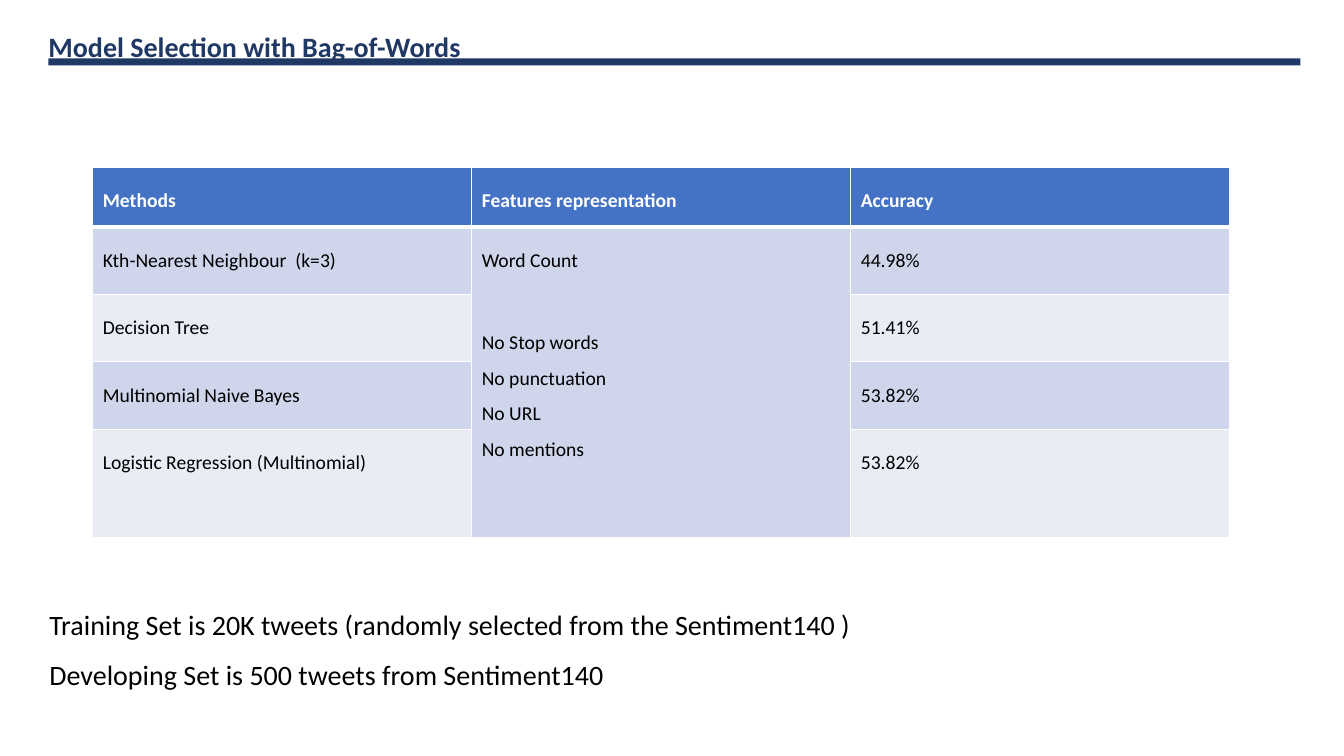
from lxml.etree import SubElement
from pptx import Presentation
from pptx.dml.color import RGBColor
from pptx.enum.shapes import MSO_SHAPE as Shape
from pptx.enum.text import MSO_ANCHOR as Anchor, PP_ALIGN as Align
from pptx.oxml.ns import qn
from pptx.util import Inches, Pt

COLORS = {
    "navy": "203864",
    "header": "4472C4",
    "band": "CFD5EA",
    "pale": "E9EBF5",
    "white": "FFFFFF",
    "black": "000000",
}
HEADERS = ["Methods", "Features representation", "Accuracy"]
RESULTS = [
    ("Kth-Nearest Neighbour  (k=3)", "44.98%"),
    ("Decision Tree", "51.41%"),
    ("Multinomial Naive Bayes", "53.82%"),
    ("Logistic Regression (Multinomial)", "53.82%"),
]
FEATURES = ["Word Count", "No Stop words", "No punctuation", "No URL", "No mentions"]
DATA_SETS = [
    "Training Set is 20K tweets (randomly selected from the Sentiment140 )",
    "Developing Set is 500 tweets from Sentiment140",
]
ROW_HEIGHTS = [7.87, 8.93, 8.93, 8.93, 14.27]


class Deck:
    font = "Calibri"

    def __init__(self):
        self.prs = Presentation()
        self.prs.slide_width = Inches(13.33)
        self.prs.slide_height = Inches(7.5)
        self.s = self.prs.slides.add_slide(self.prs.slide_layouts[5])

    def x(self, percent):
        return round(self.prs.slide_width * percent / 100)

    def y(self, percent):
        return round(self.prs.slide_height * percent / 100)

    def box(self, left, top, width, height):
        return self.x(left), self.y(top), self.x(width), self.y(height)

    def color(self, name):
        return RGBColor.from_string(COLORS[name])

    def fill_text(self, tf, lines, size, color="black", bold=False, spacing=1.5):
        for i, line in enumerate(lines):
            p = tf.paragraphs[0] if i == 0 else tf.add_paragraph()
            p.text = line
            p.alignment = Align.LEFT
            p.line_spacing = spacing
            p.space_before = Pt(0)
            p.font.name = self.font
            p.font.size = Pt(size)
            p.font.bold = bold
            p.font.color.rgb = self.color(color)

    def title(self, text, *area):
        sp = self.s.shapes.title
        sp.left, sp.top, sp.width, sp.height = self.box(*area)
        tf = sp.text_frame
        tf.word_wrap = False
        tf.vertical_anchor = Anchor.TOP
        self.fill_text(tf, [text], 20, "navy", True, 1.0)

    def rule(self, *area):
        sp = self.s.shapes.add_shape(Shape.RECTANGLE, *self.box(*area))
        sp.shadow.inherit = False
        sp.fill.solid()
        sp.fill.fore_color.rgb = self.color("navy")
        sp.line.fill.background()

    def text(self, lines, *area):
        tf = self.s.shapes.add_textbox(*self.box(*area)).text_frame
        tf.word_wrap = True
        self.fill_text(tf, lines, 20)

    def borders(self, cell, top, bottom):
        tcPr = cell._tc.get_or_add_tcPr()
        for side, points in zip("LRTB", (1, 1, top, bottom)):
            ln = SubElement(tcPr, qn(f"a:ln{side}"), w=str(Pt(points)))
            fill = SubElement(ln, qn("a:solidFill"))
            SubElement(fill, qn("a:srgbClr"), val=COLORS["white"])

    def cell(self, cell, row, lines):
        fill = "header" if row == 0 else "band" if row % 2 else "pale"
        self.borders(cell, 3 if row == 1 else 1, 3 if row == 0 else 1)
        cell.fill.solid()
        cell.fill.fore_color.rgb = self.color(fill)
        cell.margin_left = cell.margin_right = Inches(0.1)
        cell.margin_top = cell.margin_bottom = Inches(0.1)
        self.fill_text(cell.text_frame, lines, 14, "black" if row else "white", row == 0)

    def table(self, rows, heights, left, top, width):
        area = self.box(left, top, width, sum(heights))
        table = self.s.shapes.add_table(len(rows), len(rows[0]), *area).table
        for column in table.columns:
            column.width = self.x(width / len(rows[0]))
        for r, (values, height) in enumerate(zip(rows, heights)):
            table.rows[r].height = self.y(height)
            for c, lines in enumerate(values):
                self.cell(table.cell(r, c), r, lines)
        return table


def main():
    deck = Deck()
    deck.title("Model Selection with Bag-of-Words", 2.85, 3.2, 50.5, 4.53)
    rows = [[[header] for header in HEADERS]]
    for i, (method, accuracy) in enumerate(RESULTS):
        rows.append([[method], [] if i else FEATURES, [accuracy]])
    table = deck.table(rows, ROW_HEIGHTS, 6.9, 22.13, 84.6)
    features = table.cell(1, 1)
    features.merge(table.cell(len(RESULTS), 1))
    features.text_frame.paragraphs[1].space_before = Pt(33)
    deck.text(DATA_SETS, 2.93, 77.47, 96.67, 15)
    deck.rule(3.6, 7.73, 93.15, 0.93)
    deck.prs.save("out.pptx")


if __name__ == "__main__":
    main()
